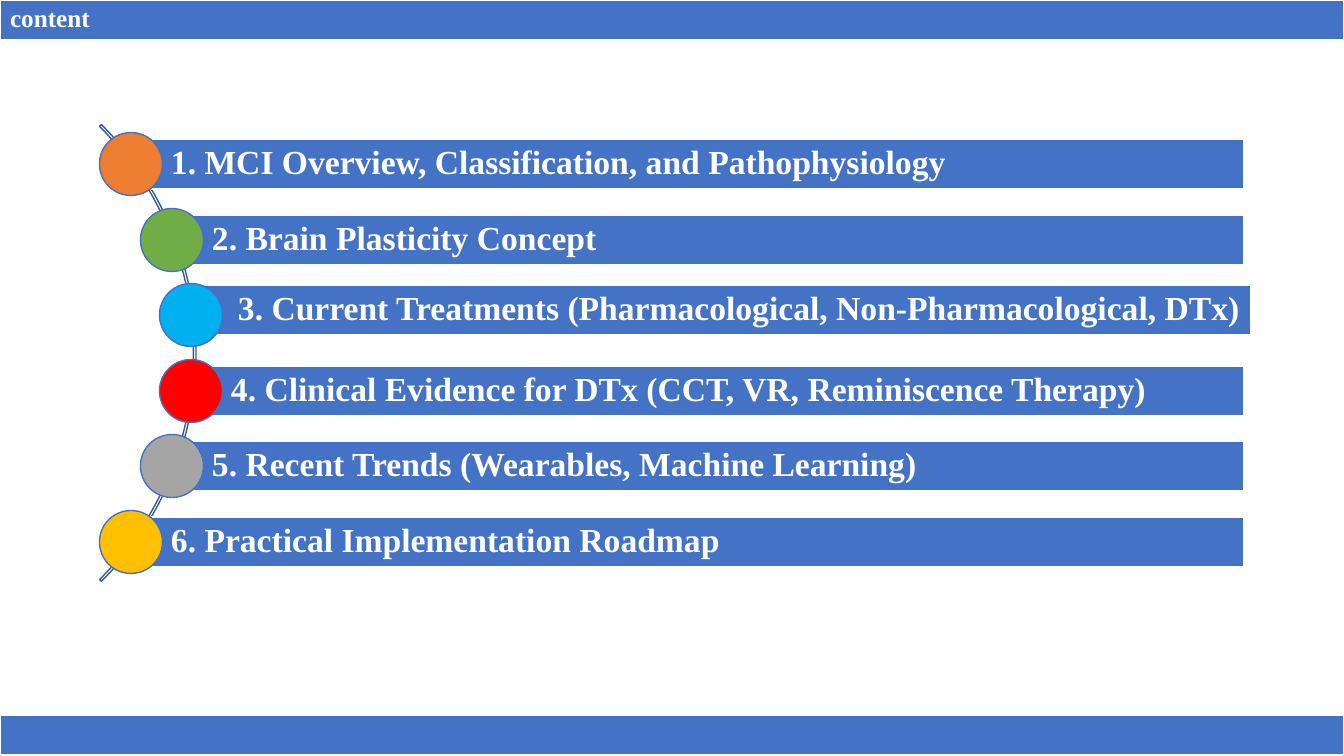
import math

from lxml import etree
from pptx import Presentation
from pptx import util as u
from pptx.dml.color import RGBColor
from pptx.enum import shapes, text
from pptx.oxml import ns

EMU_PER_PX = 914400 / 100.8
SLIDE_W, SLIDE_H = 1344, 756

BLUE = RGBColor(0x44, 0x72, 0xC4)
ARC_BLUE = RGBColor(0x36, 0x5B, 0x9D)
WHITE = RGBColor(0xFF, 0xFF, 0xFF)
ORANGE = RGBColor(0xED, 0x7D, 0x31)
GREEN = RGBColor(0x70, 0xAD, 0x47)
SKY = RGBColor(0x00, 0xB0, 0xF0)
RED = RGBColor(0xFF, 0x00, 0x00)
GRAY = RGBColor(0xA5, 0xA5, 0xA5)
GOLD = RGBColor(0xFF, 0xC0, 0x00)
FONT = "Times New Roman"

ARC_LEFT, ARC_TOP, ARC_SIZE = -450, 30, 646
ARC_CENTER_X, ARC_CENTER_Y = -127, 353
MARKER_RADIUS = 320  # from the arc's centre to each marker's centre
MARKER_SIZE = 63
FIRST_MARKER_Y, LAST_MARKER_Y = 164, 542
BAR_RIGHT, BAR_H = 1244, 50
BAND_H = 41

# Title, marker colour, shift of the bar in px (right, down)
TOPICS = [
    ("1. MCI Overview, Classification, and Pathophysiology", ORANGE, (0, 0)),
    ("2. Brain Plasticity Concept", GREEN, (0, 0)),
    ("3. Current Treatments (Pharmacological, Non-Pharmacological, DTx)", SKY, (7, -5)),
    ("4. Clinical Evidence for DTx (CCT, VR, Reminiscence Therapy)", RED, (0, 0)),
    ("5. Recent Trends (Wearables, Machine Learning)", GRAY, (0, 0)),
    ("6. Practical Implementation Roadmap", GOLD, (0, 0)),
]


def px(value):
    return u.Emu(round(value * EMU_PER_PX))


def add_outlined(slide, preset, box, fill, line):
    """Add a preset shape with a 1 pt outline; no fill if fill is None."""
    shape = slide.shapes.add_shape(preset, *map(px, box))
    shape.shadow.inherit = False
    if fill is None:
        shape.fill.background()
    else:
        shape.fill.solid()
        shape.fill.fore_color.rgb = fill
    shape.line.color.rgb = line
    shape.line.width = u.Pt(1)
    return shape


def style_text(paragraph, size):
    paragraph.font.name = FONT
    paragraph.font.size = u.Pt(size)
    paragraph.font.bold = True
    paragraph.font.color.rgb = WHITE


def add_arc(slide):
    arc = add_outlined(slide, shapes.MSO_SHAPE.BLOCK_ARC,
                       (ARC_LEFT, ARC_TOP, ARC_SIZE, ARC_SIZE), None, ARC_BLUE)
    for index, value in enumerate((189, 27, 0.004)):
        arc.adjustments[index] = value


def add_topic(slide, title, color, center_y, shift):
    """Add a title bar that starts behind a round marker on the arc."""
    center_x = ARC_CENTER_X + round(
        math.sqrt(MARKER_RADIUS ** 2 - (center_y - ARC_CENTER_Y) ** 2))
    right, down = shift
    bar = add_outlined(slide, shapes.MSO_SHAPE.RECTANGLE,
                       (center_x + right, center_y - BAR_H // 2 + down,
                        BAR_RIGHT - center_x, BAR_H), BLUE, WHITE)
    frame = bar.text_frame
    frame.word_wrap = True
    frame.vertical_anchor = text.MSO_ANCHOR.MIDDLE
    frame.margin_left = px(40)
    frame.margin_top = frame.margin_right = frame.margin_bottom = px(7)
    paragraph = frame.paragraphs[0]
    paragraph.text = title
    paragraph.alignment = text.PP_ALIGN.LEFT
    paragraph.line_spacing = 0.9
    style_text(paragraph, 24)
    add_outlined(slide, shapes.MSO_SHAPE.OVAL,
                 (center_x - MARKER_SIZE / 2, center_y - MARKER_SIZE / 2,
                  MARKER_SIZE, MARKER_SIZE), color, BLUE)


def set_borders(cell, widths):
    """Give a cell white borders; widths maps each side to points."""
    properties = cell._tc.get_or_add_tcPr()
    for position, (side, width) in enumerate(widths.items()):
        border = etree.Element(ns.qn(f"a:ln{side}"), w=str(u.Pt(width)))
        fill = etree.SubElement(border, ns.qn("a:solidFill"))
        etree.SubElement(fill, ns.qn("a:srgbClr"), val=str(WHITE))
        properties.insert(position, border)


def add_band(slide, top, heading=""):
    """Add a full-width one-cell table."""
    table = slide.shapes.add_table(
        1, 1, *map(px, (0, top, SLIDE_W, BAND_H))).table
    cell = table.cell(0, 0)
    cell.fill.solid()
    cell.fill.fore_color.rgb = BLUE
    set_borders(cell, {"L": 1, "R": 1, "T": 1, "B": 3})
    paragraph = cell.text_frame.paragraphs[0]
    if heading:
        paragraph.text = heading
    style_text(paragraph, 18)


def main():
    deck = Presentation()
    deck.slide_width, deck.slide_height = px(SLIDE_W), px(SLIDE_H)
    slide = deck.slides.add_slide(deck.slide_layouts[6])

    add_arc(slide)
    pitch = (LAST_MARKER_Y - FIRST_MARKER_Y) / (len(TOPICS) - 1)
    for index, (title, color, shift) in enumerate(TOPICS):
        center_y = round(FIRST_MARKER_Y + index * pitch)
        add_topic(slide, title, color, center_y, shift)
    add_band(slide, SLIDE_H - BAND_H)
    add_band(slide, 0, "content")

    deck.save("out.pptx")


if __name__ == "__main__":
    main()
